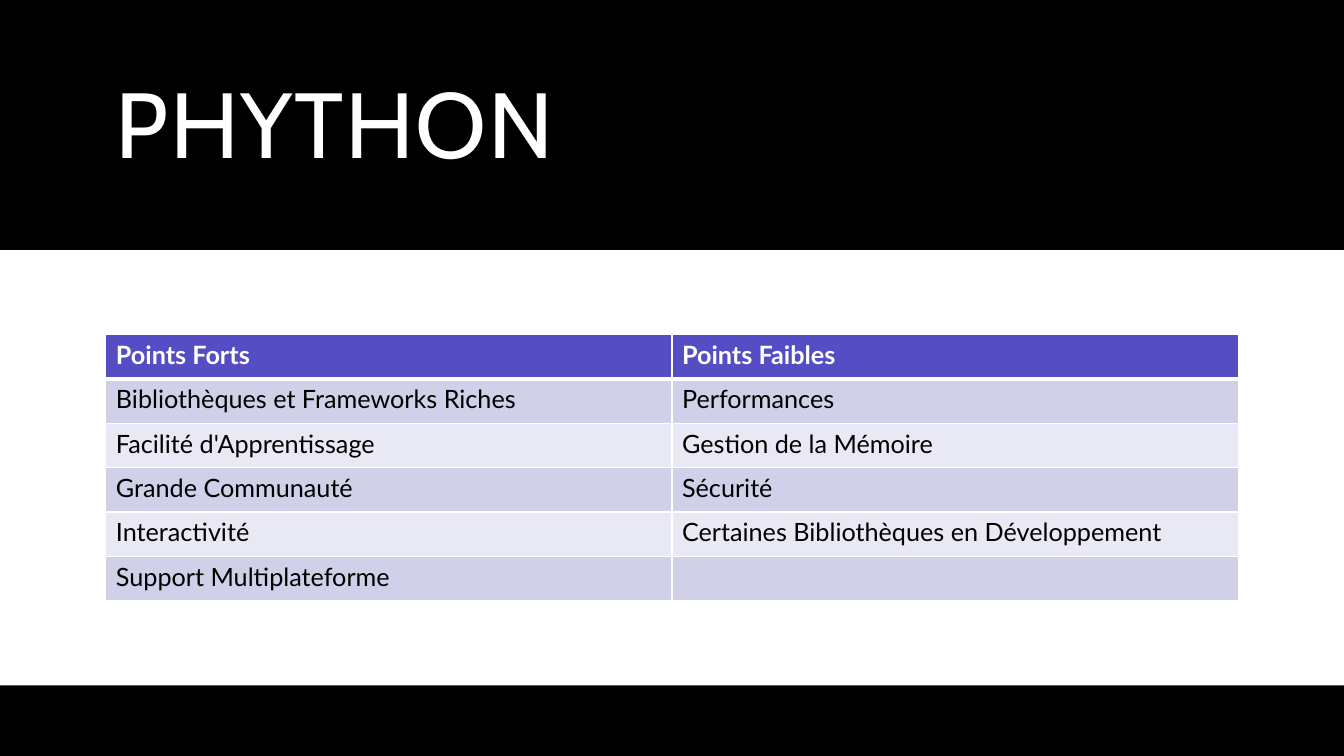
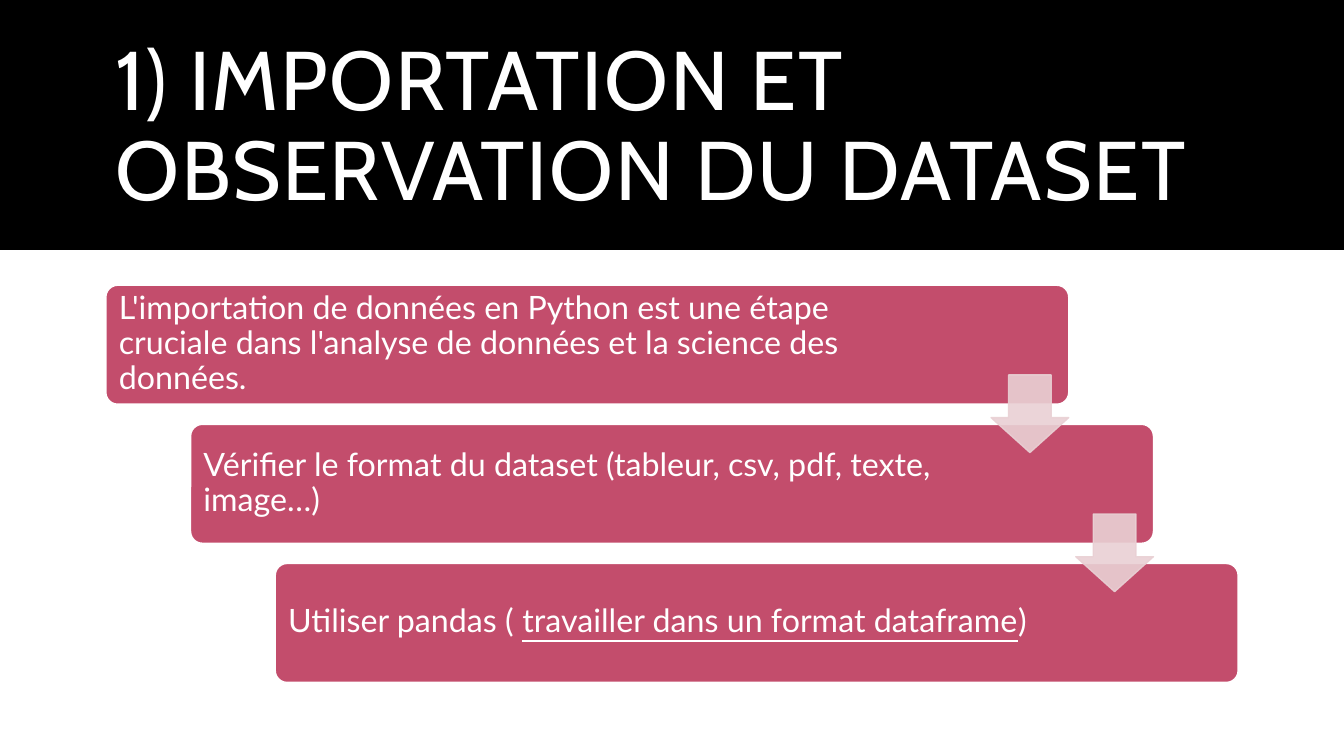
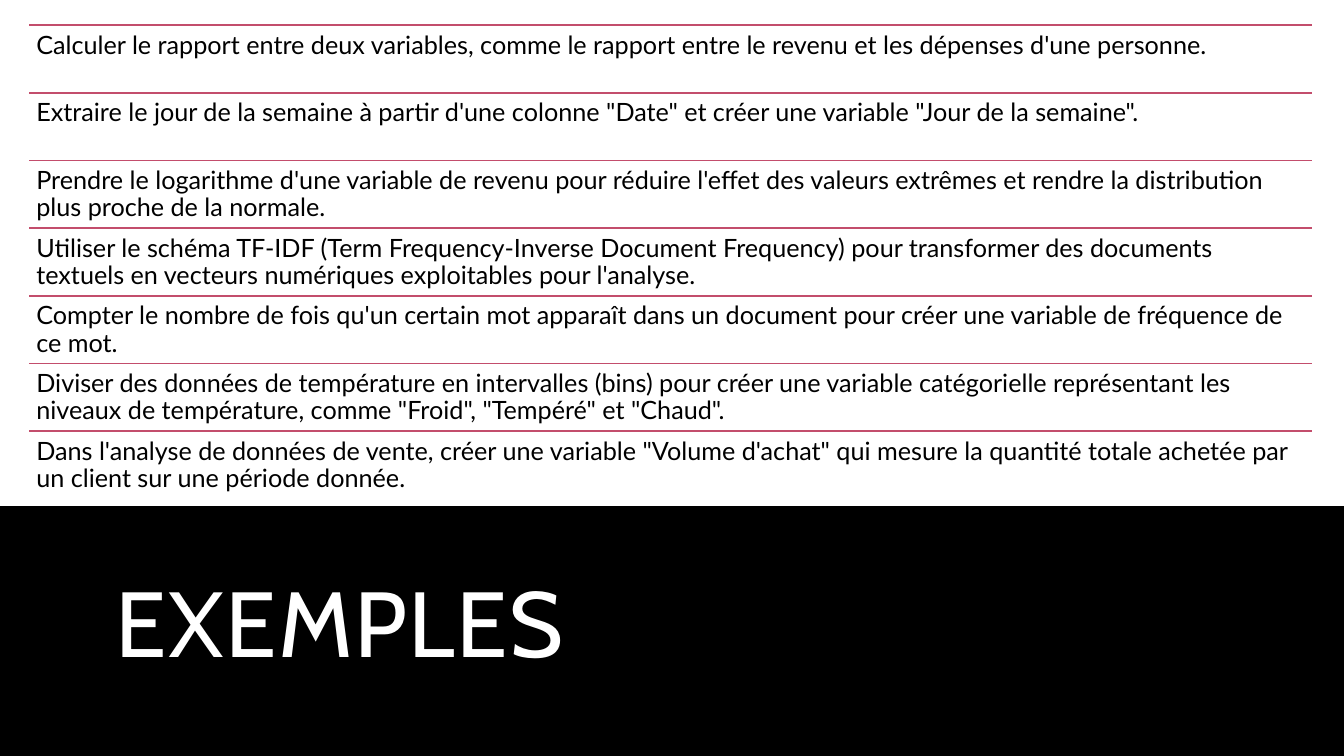
import pptx
import pptx.dml.color
import pptx.enum.shapes
import pptx.enum.text
import pptx.oxml
import pptx.oxml.ns
import pptx.util
from pptx.util import Inches

BLACK, WHITE, ROSE, BLUSH = "000000", "FFFFFF", "C34D6C", "E9D0D4"
HEADER, STRIPES = "554DC3", ("D1D0E9", "E9E9F5")
TITLE_FONT, BODY_FONT = "Cabin", "Lato"
WIDTH, HEIGHT, BAND_HEIGHT = 13.33, 7.5, 2.48
LEFT, CONTENT_WIDTH = 1.05, 11.23
SHAPE = pptx.enum.shapes.MSO_SHAPE
ANCHOR = pptx.enum.text.MSO_ANCHOR

POINTS = [
    ("Points Forts", "Points Faibles"),
    ("Bibliothèques et Frameworks Riches", "Performances"),
    ("Facilité d'Apprentissage", "Gestion de la Mémoire"),
    ("Grande Communauté", "Sécurité"),
    ("Interactivité", "Certaines Bibliothèques en Développement"),
    ("Support Multiplateforme", ""),
]

STEPS = [
    (8.27, [("L'importation de données en Python est une étape cruciale dans "
             "l'analyse de données et la science des données.", False)]),
    (7.87, [("Vérifier le format du dataset (tableur, csv, pdf, texte, image…)", False)]),
    (7.87, [("Utiliser pandas ( ", False),
            ("travailler dans un format dataframe", True),
            (")", False)]),
]

EXAMPLES = [
    "Calculer le rapport entre deux variables, comme le rapport entre le revenu "
    "et les dépenses d'une personne.",
    "Extraire le jour de la semaine à partir d'une colonne \"Date\" et créer une "
    "variable \"Jour de la semaine\".",
    "Prendre le logarithme d'une variable de revenu pour réduire l'effet des "
    "valeurs extrêmes et rendre la distribution plus proche de la normale.",
    "Utiliser le schéma TF-IDF (Term Frequency-Inverse Document Frequency) pour "
    "transformer des documents textuels en vecteurs numériques exploitables pour l'analyse.",
    "Compter le nombre de fois qu'un certain mot apparaît dans un document pour "
    "créer une variable de fréquence de ce mot.",
    "Diviser des données de température en intervalles (bins) pour créer une "
    "variable catégorielle représentant les niveaux de température, comme "
    "\"Froid\", \"Tempéré\" et \"Chaud\".",
    "Dans l'analyse de données de vente, créer une variable \"Volume d'achat\" qui "
    "mesure la quantité totale achetée par un client sur une période donnée.",
]


def rgb(color):
    return pptx.dml.color.RGBColor.from_string(color)


def box(at):
    return [Inches(v) for v in at]


def add_run(p, text, size, color, font=BODY_FONT, bold=False, underline=False):
    r = p.add_run()
    r.text = text
    r.font.size = pptx.util.Pt(size)
    r.font.name = font
    r.font.color.rgb = rgb(color)
    r.font.bold = bold
    r.font.underline = underline
    return r


def add_shape(s, kind, at, fill, line=None):
    sp = s.shapes.add_shape(kind, *box(at))
    sp.shadow.inherit = False
    sp.fill.solid()
    sp.fill.fore_color.rgb = rgb(fill)
    if line:
        sp.line.color.rgb = rgb(line)
        sp.line.width = pptx.util.Pt(1)
    else:
        sp.line.fill.background()
    return sp


def add_text(s, at, inset, anchor):
    tf = s.shapes.add_textbox(*box(at)).text_frame
    tf.word_wrap = True
    tf.vertical_anchor = anchor
    tf.margin_left = tf.margin_right = Inches(inset)
    tf.margin_top = tf.margin_bottom = Inches(inset)
    p = tf.paragraphs[0]
    p.line_spacing = 0.9
    return p


def add_band(s, top, height):
    add_shape(s, SHAPE.RECTANGLE, (0, top, WIDTH, height), BLACK)


def add_title(s, text, size=66, top=0.35, height=1.86):
    p = add_text(s, (LEFT, top, CONTENT_WIDTH, height), 0.1, ANCHOR.MIDDLE)
    r = add_run(p, text, size, WHITE, TITLE_FONT)
    r.font._element.set("spc", "120")


def set_borders(cell, bottom):
    tcPr = cell._tc.get_or_add_tcPr()
    widths = (("lnL", 1), ("lnR", 1), ("lnT", 1), ("lnB", bottom))
    for i, (side, width) in enumerate(widths):
        tcPr.insert(i, pptx.oxml.parse_xml(
            f'<a:{side} {pptx.oxml.ns.nsdecls("a")} w="{pptx.util.Pt(width)}">'
            f'<a:solidFill><a:srgbClr val="{WHITE}"/></a:solidFill></a:{side}>'))


def build_comparison(s):
    add_band(s, 0, BAND_HEIGHT)
    add_band(s, 6.8, HEIGHT - 6.8)
    add_title(s, "PHYTHON")
    at = (LEFT, 3.32, CONTENT_WIDTH, 0.44 * len(POINTS))
    table = s.shapes.add_table(len(POINTS), 2, *box(at)).table
    for i, row in enumerate(POINTS):
        header = i == 0
        for j, text in enumerate(row):
            cell = table.cell(i, j)
            cell.fill.solid()
            cell.fill.fore_color.rgb = rgb(HEADER if header else STRIPES[(i - 1) % 2])
            set_borders(cell, 3 if header else 1)
            if text:
                add_run(cell.text_frame.paragraphs[0], text, 18,
                        WHITE if header else BLACK, bold=header)


def build_steps(s):
    add_band(s, 0, BAND_HEIGHT)
    add_title(s, "1) IMPORTATION ET OBSERVATION DU DATASET", 59.4)
    top, width, height, arrow_size = 2.83, 9.55, 1.18, 0.77
    shift = (CONTENT_WIDTH - width) / (len(STEPS) - 1)
    corners = [(LEFT + shift * i, top + 1.38 * i) for i in range(len(STEPS))]
    for (x, y), (text_width, runs) in zip(corners, STEPS):
        card = add_shape(s, SHAPE.ROUNDED_RECTANGLE, (x, y, width, height), ROSE, WHITE)
        card.adjustments[0] = 0.1
        p = add_text(s, (x + 0.03, y + 0.03, text_width, 1.11), 0.1, ANCHOR.MIDDLE)
        for text, underline in runs:
            add_run(p, text, 23, WHITE, underline=underline)
    for x, y in corners[:-1]:
        at = (x + width - arrow_size, y + 0.89, arrow_size, arrow_size)
        arrow = add_shape(s, SHAPE.DOWN_ARROW, at, BLUSH, BLUSH)
        arrow.adjustments[0] = 0.55
        arrow.adjustments[1] = 0.45
        for color in arrow._element.spPr.iter(pptx.oxml.ns.qn("a:srgbClr")):
            color.append(pptx.oxml.parse_xml(
                f'<a:alpha {pptx.oxml.ns.nsdecls("a")} val="90000"/>'))


def build_examples(s):
    add_band(s, HEIGHT - BAND_HEIGHT, BAND_HEIGHT)
    add_title(s, "EXEMPLES", top=5.5, height=1.45)
    left, top, width, bottom = 0.29, 0.25, 12.72, 4.95
    step = (bottom - top) / len(EXAMPLES)
    for i, text in enumerate(EXAMPLES):
        y = top + step * i
        rule = s.shapes.add_connector(pptx.enum.shapes.MSO_CONNECTOR.STRAIGHT,
                                      *box((left, y, left + width, y)))
        rule.line.color.rgb = rgb(ROSE)
        rule.line.width = pptx.util.Pt(1.25)
        rule._element.spPr.append(pptx.oxml.parse_xml(
            f'<a:effectLst {pptx.oxml.ns.nsdecls("a")}/>'))
        p = add_text(s, (left, y, width, step), 0.07, ANCHOR.TOP)
        add_run(p, text, 18, BLACK)


def main():
    prs = pptx.Presentation()
    prs.slide_width, prs.slide_height = Inches(WIDTH), Inches(HEIGHT)
    for build in (build_comparison, build_steps, build_examples):
        build(prs.slides.add_slide(prs.slide_layouts[6]))
    prs.save("out.pptx")


if __name__ == "__main__":
    main()
